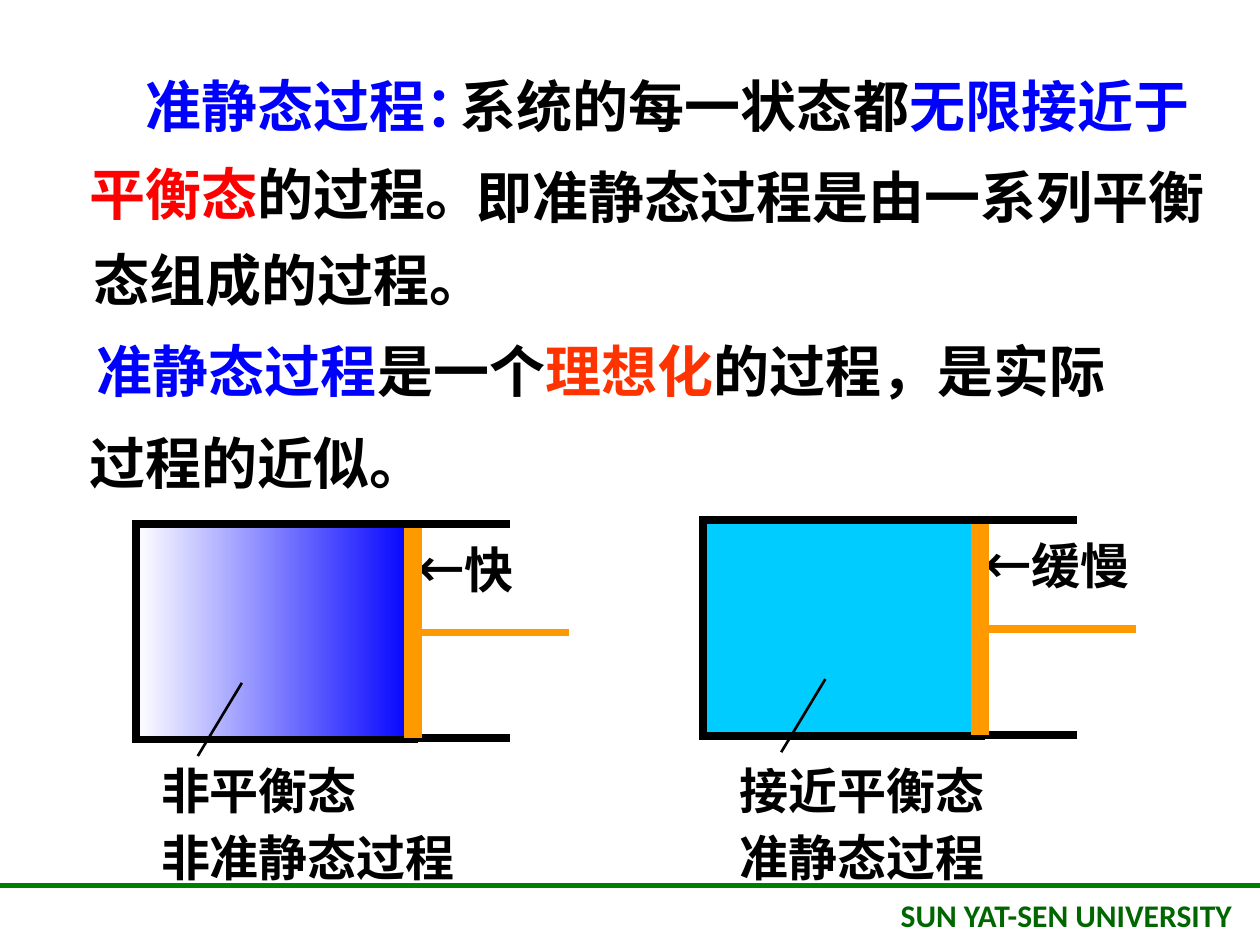
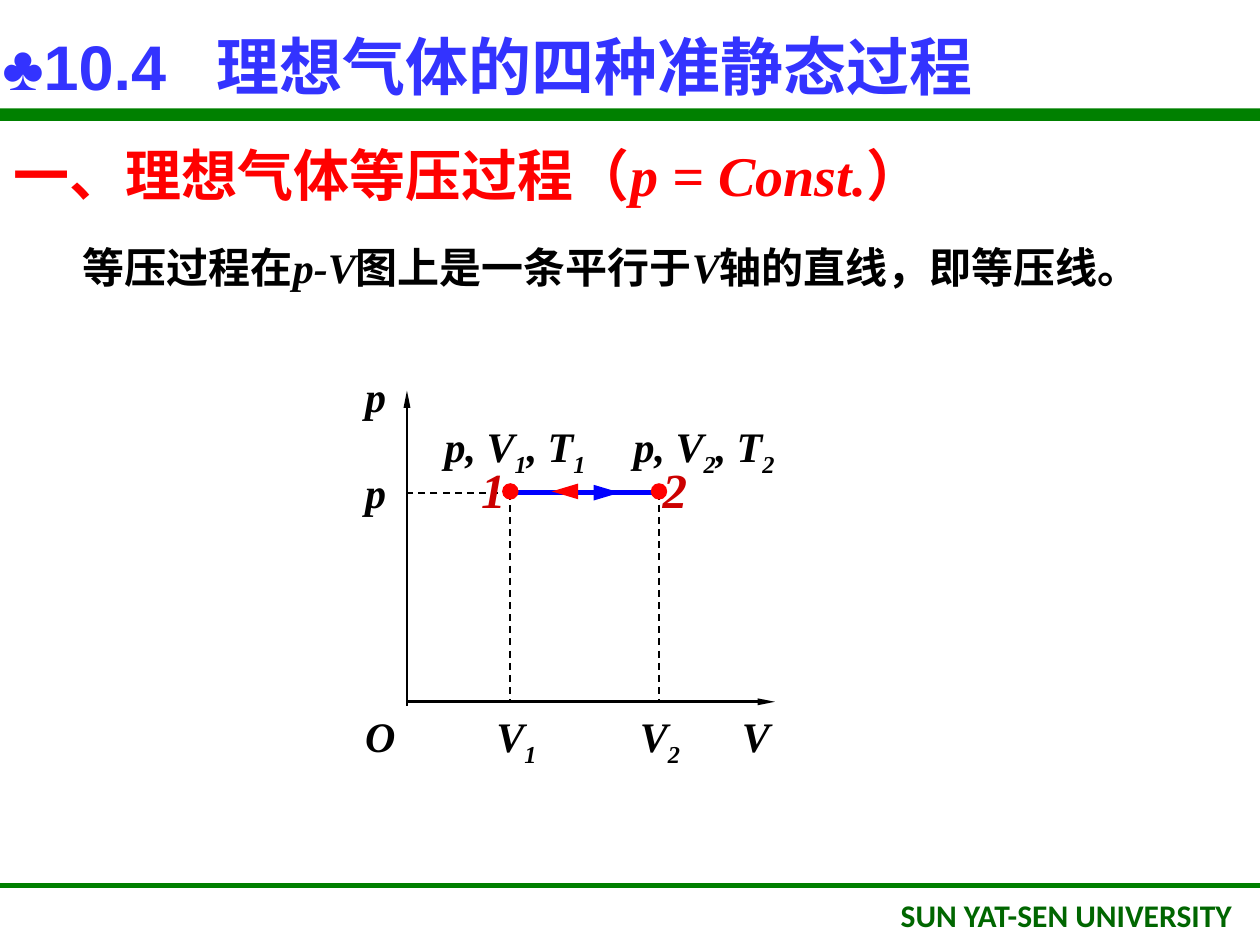
import pptx
import pptx.util
import pptx.dml.color
import pptx.enum.dml
import pptx.enum.shapes
import pptx.enum.text
from lxml import etree
from pptx.oxml.ns import qn

Inches = pptx.util.Inches
Pt = pptx.util.Pt
MSO_SHAPE = pptx.enum.shapes.MSO_SHAPE

BLACK, BLUE, RED, ORANGE = "000000", "0000FF", "FF0000", "FF9900"
GREEN, DARK_GREEN, DARK_RED = "008000", "006600", "CC0000"
VERMILION, TITLE_BLUE, CYAN = "FF3300", "3333FF", "00CCFF"
SANS, SERIF, CJK = "Arial", "Times New Roman", "Noto Sans CJK SC"


def rgb(color):
    return pptx.dml.color.RGBColor.from_string(color)


def add_run(p, text, size, font, color=BLACK, italic=False, sub=False):
    r = p.add_run()
    r.text = text
    r.font.size = Pt(size)
    r.font.bold = True
    r.font.italic = italic
    r.font.name = font
    r.font.color.rgb = rgb(color)
    rPr = r.font._element
    etree.SubElement(rPr, qn("a:ea")).set("typeface", CJK)
    if sub:
        rPr.set("baseline", "-25000")


def add_box(s, x, y, w, h, wrap=True, grow=True):
    tf = s.shapes.add_textbox(Inches(x), Inches(y), Inches(w), Inches(h)).text_frame
    tf.word_wrap = wrap
    if grow:
        tf.auto_size = pptx.enum.text.MSO_AUTO_SIZE.SHAPE_TO_FIT_TEXT
    return tf.paragraphs[0]


def add_text(s, x, y, w, h, size, font, *runs, grow=True):
    p = add_box(s, x, y, w, h, grow=grow)
    for text, *style in runs:
        add_run(p, text, size, font, *style)


def add_line(s, x1, y1, x2, y2, color=BLACK, width=1.5, dash=False, head=None):
    ln = s.shapes.add_connector(pptx.enum.shapes.MSO_CONNECTOR.STRAIGHT,
                                Inches(x1), Inches(y1), Inches(x2), Inches(y2))
    etree.SubElement(ln._element.spPr, qn("a:effectLst"))
    ln.line.color.rgb = rgb(color)
    ln.line.width = Pt(width)
    if dash:
        ln.line.dash_style = pptx.enum.dml.MSO_LINE.DASH
    if head:
        tail = etree.SubElement(ln.line._get_or_add_ln(), qn("a:tailEnd"))
        for name, value in (("type", "triangle"), ("w", head), ("len", "lg")):
            tail.set(name, value)


def add_shape(s, kind, x, y, w, h, fill, line=None, width=0.75):
    sp = s.shapes.add_shape(kind, Inches(x), Inches(y), Inches(w), Inches(h))
    sp.shadow.inherit = False
    if isinstance(fill, tuple):
        sp.fill.gradient()
        sp.fill.gradient_angle = 0
        for stop, color in zip(sp.fill.gradient_stops, fill):
            stop.color.rgb = rgb(color)
    else:
        sp.fill.solid()
        sp.fill.fore_color.rgb = rgb(fill)
    if line:
        sp.line.color.rgb = rgb(line)
        sp.line.width = Pt(width)
        etree.SubElement(sp.line._get_or_add_ln(), qn("a:miter")).set("lim", "800000")
    else:
        sp.line.fill.background()


def new_slide(prs):
    s = prs.slides.add_slide(prs.slide_layouts[6])
    add_line(s, 0, 7.03, 10, 7.03, GREEN, 3)
    add_text(s, 7.05, 7.06, 3.19, 0.4, 18, "Calibri", ("SUN YAT-SEN UNIVERSITY", DARK_GREEN))
    return s


def add_definition(s, x, y):
    lines = [
        (0.45, 0, 3.87, SANS, [("准静态过程：", BLUE)]),
        (2.95, 0, 6.33, SANS, [("系统的每一状态都",), ("无限接近于", BLUE)]),
        (0, 0.7, 5.27, SANS, [("平衡态", RED), ("的过程。",)]),
        (0.03, 1.38, 4.84, CJK, [("态组成的过程。",)]),
        (3.07, 0.72, 6.3, CJK, [("即准静态过程是由一系列平衡",)]),
        (0.06, 2.1, 9.3, CJK, [("准静态过程", BLUE), ("是一个",), ("理想化", VERMILION),
                               ("的过程，是实际",)]),
        (0, 2.83, 4.39, CJK, [("过程的近似。",)]),
    ]
    for dx, dy, w, font, runs in lines:
        add_text(s, x + dx, y + dy, w, 0.64, 32, font, *runs)


def add_cylinder(s, x, y, gas, speed, state, process, leader_dx, caption_dx):
    p = add_box(s, x + 2.12, y + 0.07, 1.58, 0.66, grow=False)
    add_run(p, "←", 28, SERIF)
    add_run(p, speed, 28, SANS)
    add_text(s, x + caption_dx, 5.99, 2.87, 0.74, 28, SANS, (state,), grow=False)
    add_text(s, x + caption_dx, 6.52, 3.9, 0.57, 28, SANS, (process,))
    add_shape(s, MSO_SHAPE.RECTANGLE, x, y, 2.21, 1.71, gas, BLACK, 4.5)
    for wall_y in (y, y + 1.7):
        add_line(s, x + 2.23, wall_y, x + 2.97, wall_y, BLACK, 4.5)
    add_line(s, x + 2.25, y + 0.86, x + 3.44, y + 0.86, ORANGE, 4.5)
    for piston_x in (x + 2.17, x + 2.23):
        add_line(s, piston_x, y + 0.03, piston_x, y + 1.7, ORANGE, 6)
    add_line(s, x + leader_dx, y + 1.84, x + leader_dx + 0.35, y + 1.26)


def add_heading(s):
    add_shape(s, MSO_SHAPE.RECTANGLE, 0, 0.86, 10, 0.1, GREEN)
    p = add_box(s, -0.08, 0.17, 10.08, 0.7)
    tabs = etree.SubElement(p._p.get_or_add_pPr(), qn("a:tabLst"))
    tab = etree.SubElement(tabs, qn("a:tab"))
    tab.set("pos", str(Inches(1.7)))
    tab.set("algn", "l")
    add_run(p, "♣10.4\t理想气体的四种准静态过程", 36, SANS, TITLE_BLUE)
    add_text(s, 0.01, 1.07, 9, 0.64, 32, SERIF, ("一、理想气体等压过程（", RED),
             ("p = Const.", RED, True), ("）", RED))
    add_text(s, 0.56, 1.87, 9.3, 0.5, 24, SERIF, ("等压过程在",), ("p-V", BLACK, True),
             ("图上是一条平行于",), ("V", BLACK, True), ("轴的直线，即等压线。",))


def add_symbol(s, x, y, w, h, *parts):
    p = add_box(s, x, y, w, h, wrap=False)
    for i, part in enumerate(parts):
        add_run(p, part, 24, SERIF, BLACK, True, i % 2 == 1)


def add_pv_diagram(s, x, y):
    v1, v2, p_y = x + 0.82, x + 2, y - 1.66
    add_line(s, x, y, x + 2.92, y, head="sm")
    add_line(s, x, y + 0.03, x, y - 2.47, head="sm")
    add_line(s, v1, p_y, x, p_y, width=1, dash=True)
    for v in (v1, v2):
        add_line(s, v, p_y, v, y, width=1, dash=True)
    add_line(s, v1, p_y, v2, p_y, BLUE, 3)
    states = [("1", v1, -0.33, -0.62, -0.21), ("2", v2, -0.07, -0.3, -0.25)]
    for n, v, number_dx, state_dx, volume_dx in states:
        add_text(s, v + number_dx, p_y - 0.31, 0.42, 0.57, 28, SERIF, (n, DARK_RED, True))
        add_symbol(s, v + volume_dx, y + 0.02, 0.52, 0.56, "V", n)
        add_symbol(s, v + state_dx, y - 2.28, 1.32, 0.56, "p, V", n, ", T", n)
        add_shape(s, MSO_SHAPE.OVAL, v - 0.06, p_y - 0.07, 0.12, 0.12, RED, RED)
    add_symbol(s, x - 0.43, y + 0.02, 0.44, 0.5, "O")
    add_symbol(s, x + 2.56, y + 0.02, 0.42, 0.5, "V")
    for label_y in (y - 1.92, y - 2.68):
        add_symbol(s, x - 0.43, label_y, 0.36, 0.5, "p")
    add_line(s, x + 1.53, p_y, x + 1.69, p_y, BLUE, 3, head="med")
    add_line(s, x + 1.32, p_y - 0.01, x + 1.15, p_y - 0.01, RED, 3, head="med")


def main():
    prs = pptx.Presentation()
    prs.slide_width, prs.slide_height = Inches(10), Inches(7.5)

    s = new_slide(prs)
    add_definition(s, 0.61, 0.52)
    add_cylinder(s, 1.08, 4.16, ("FFFFFF", BLUE), "快", "非平衡态", "非准静态过程", 0.49, 0.1)
    add_cylinder(s, 5.58, 4.13, CYAN, "缓慢", "接近平衡态", "准静态过程", 0.62, 0.19)

    s = new_slide(prs)
    add_heading(s)
    add_pv_diagram(s, 3.23, 5.57)

    prs.save("out.pptx")


if __name__ == "__main__":
    main()
